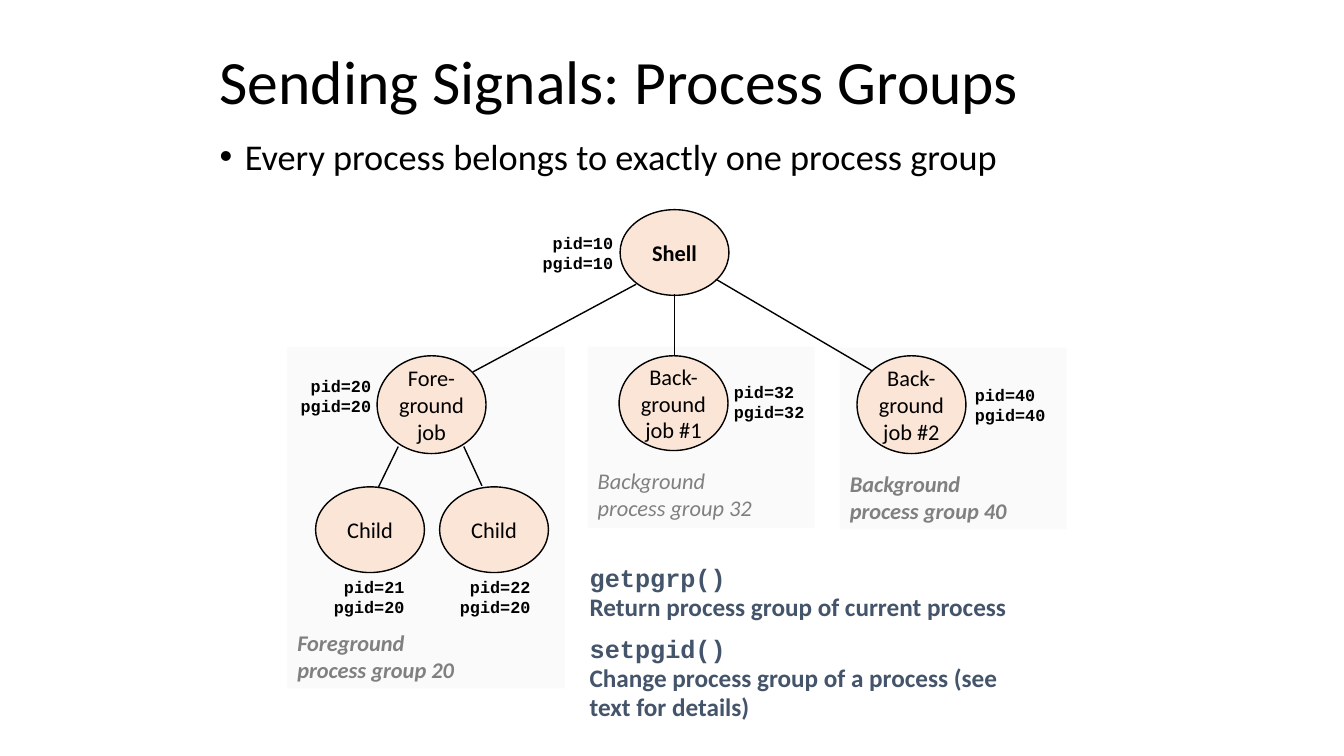
from pptx import Presentation
from pptx.dml.color import RGBColor
from pptx.enum.shapes import MSO_CONNECTOR, MSO_SHAPE
from pptx.enum.text import MSO_ANCHOR, PP_ALIGN
from pptx.oxml.ns import qn
from pptx.util import Inches, Pt
from lxml.etree import SubElement

BODY, CODE = "Calibri", "Courier New"
BLACK, GRAY, SLATE, PEACH, PALE = "000000", "808080", "44546A", "FBE5D6", "FAFAFA"
LEFT, MID, RIGHT = PP_ALIGN.LEFT, PP_ALIGN.CENTER, PP_ALIGN.RIGHT


def color(code):
    return RGBColor.from_string(code)


class Canvas:
    def __init__(self, slide):
        self.slide = slide

    def style(self, run, size, face=BODY, tint=BLACK, bold=False, italic=False):
        font = run.font
        font.name, font.size = face, Pt(size)
        font.bold, font.italic = bold, italic
        font.color.rgb = color(tint)

    def fill(self, frame, words, size, align=LEFT, **look):
        frame.text = words
        frame.vertical_anchor = MSO_ANCHOR.MIDDLE
        for para in frame.paragraphs:
            para.alignment = align
            for run in para.runs:
                self.style(run, size, **look)

    def shape(self, kind, box, tint, edge=None):
        item = self.slide.shapes.add_shape(kind, *map(Inches, box))
        item.shadow.inherit = False
        item.fill.solid()
        item.fill.fore_color.rgb = color(tint)
        if edge:
            item.line.color.rgb = color(edge)
            item.line.width = Pt(1)
        else:
            item.line.fill.background()
        return item

    def panel(self, *box):
        self.shape(MSO_SHAPE.RECTANGLE, box, PALE)

    def node(self, words, left, top, high, bold=False):
        oval = self.shape(MSO_SHAPE.OVAL, (left, top, 1.08, high), PEACH, BLACK)
        oval.text_frame.word_wrap = False
        self.fill(oval.text_frame, words, 16, MID, bold=bold)

    def text(self, words, box, size, align=LEFT, wrap=False, **look):
        frame = self.slide.shapes.add_textbox(*map(Inches, box)).text_frame
        frame.word_wrap = wrap
        self.fill(frame, words, size, align, **look)
        return frame

    def label(self, pid, group, left, top, align):
        self.text(f"pid={pid}\npgid={group}", (left, top, 0.91, 0.5), 12,
                  align, face=CODE, bold=True)

    def line(self, *ends):
        link = self.slide.shapes.add_connector(MSO_CONNECTOR.STRAIGHT, *map(Inches, ends))
        link.line.color.rgb = color(BLACK)
        link.line.width = Pt(1)
        SubElement(link._element.spPr, qn("a:effectLst"))

    def bullet(self, para):
        props = para._p.get_or_add_pPr()
        props.set("marL", str(Inches(0.25)))
        props.set("indent", str(-Inches(0.25)))
        SubElement(props, qn("a:buFont")).set("typeface", "Arial")
        SubElement(props, qn("a:buChar")).set("char", "•")


deck = Presentation()
deck.slide_width, deck.slide_height = Inches(13.33), Inches(7.5)
page = Canvas(deck.slides.add_slide(deck.slide_layouts[6]))

# Process group panels
page.panel(8.33, 3.45, 2.25, 1.8)
page.panel(5.83, 3.44, 2.25, 1.8)
page.panel(2.85, 3.44, 2.75, 3.39)

# Title and bullet
title = page.text("Sending Signals: Process Groups", (2.08, 0.42, 8.3, 0.83), 44, wrap=True)
title.paragraphs[0].line_spacing = 0.9
point = page.text("Every process belongs to exactly one process group",
                  (2.08, 1.33, 8.44, 0.67), 25.9, wrap=True)
point.vertical_anchor = MSO_ANCHOR.TOP
point.paragraphs[0].line_spacing = 0.9
page.bullet(point.paragraphs[0])

# Processes
page.node("Fore-\nground\njob", 3.74, 3.53, 0.97)
page.node("Back-\nground\njob #1", 6.14, 3.53, 0.94)
page.node("Back-\nground\njob #2", 8.5, 3.53, 0.97)
page.node("Shell", 6.15, 2.08, 0.85, bold=True)
for left in (3.13, 4.36):
    page.node("Child", left, 4.83, 0.85)

# Links from parent to child
for ends in ((3.95, 4.43, 3.75, 4.84), (4.6, 4.43, 4.78, 4.82),
             (6.69, 2.92, 6.69, 3.53), (6.31, 2.82, 4.69, 3.69),
             (7.1, 2.77, 8.65, 3.68)):
    page.line(*ends)

# Process and group numbers
for tag in ((10, 10, 5.27, 2.26, RIGHT), (20, 20, 2.87, 3.68, RIGHT),
            (32, 32, 7.18, 3.74, LEFT), (40, 40, 9.57, 3.77, LEFT),
            (21, 20, 3.2, 5.67, RIGHT), (22, 20, 4.45, 5.67, RIGHT)):
    page.label(*tag)

# Group names
for kind, group, left, top, bold in (("Foreground", 20, 2.85, 6.19, True),
                                     ("Background", 32, 5.83, 4.58, False),
                                     ("Background", 40, 8.33, 4.61, True)):
    page.text(f"{kind}\nprocess group {group}", (left, top, 1.78, 0.64), 16,
              tint=GRAY, bold=bold, italic=True)

# System calls
calls = page.text("getpgrp()\vReturn process group of current process\n"
                  "setpgid()\vChange process group of a process (see text for details)",
                  (5.75, 5.55, 4.5, 1.7), 18, wrap=True, tint=SLATE, bold=True)
calls.vertical_anchor = MSO_ANCHOR.TOP
for para in calls.paragraphs:
    para.line_spacing = 0.95
    para.space_before = Pt(10)
    para.runs[0].font.name = CODE

deck.save("out.pptx")
